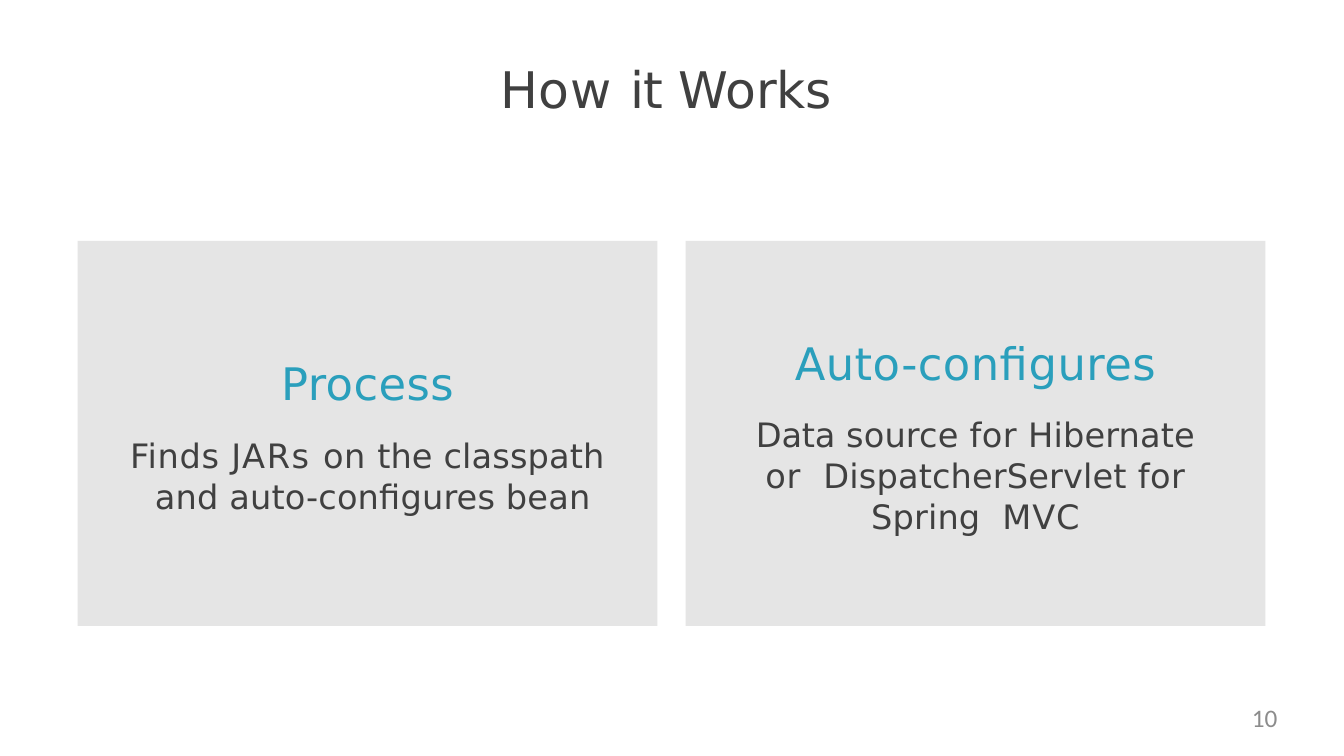
from pptx import Presentation
from pptx.dml.color import RGBColor
from pptx.enum import shapes, text
from pptx.util import Inches, Pt

GREY = RGBColor(0xE5, 0xE5, 0xE5)
TEAL = RGBColor(0x2A, 0x9F, 0xBC)
DARK = RGBColor(0x40, 0x40, 0x40)
PALE = RGBColor(0x8C, 0x8C, 0x8C)
FONT = "DejaVu Sans"
LEFT, MID, RIGHT = (text.PP_ALIGN.LEFT, text.PP_ALIGN.CENTER,
                    text.PP_ALIGN.RIGHT)

# Heading, side indent of the body, body runs
CARDS = [
    ("Process", 0.47, [
        ("Finds ", 0.5), ("JARs ", 1.1), ("on ", 0.4),
        ("the classpath  and auto-configures bean", 0.1)]),
    ("Auto-configures", 0.52, [
        ("Data ", -0.1), ("source ", 0.1), ("for ", 0.3),
        ("Hibernate ", 0.1), ("or  ", 0.4), ("DispatcherServlet ", 0.1),
        ("for ", 0.3), ("Spring  ", 0.1), ("MVC", 0.7)]),
]


def set_frame(shape, anchor):
    frame = shape.text_frame
    frame.word_wrap = True
    frame.auto_size = text.MSO_AUTO_SIZE.NONE
    frame.vertical_anchor = anchor
    frame.margin_left = frame.margin_right = 0
    frame.margin_top = frame.margin_bottom = 0
    return frame


def add_runs(para, runs, size, color, align, font=FONT):
    """Fill a paragraph from (words, letter spacing in points) pairs."""
    para.alignment = align
    for words, gap in runs:
        run = para.add_run()
        run.text = words
        run.font.name = font
        run.font.size = Pt(size)
        run.font.color.rgb = color
        run._r.get_or_add_rPr().set("spc", str(round(gap * 100)))


def add_title(slide, x, y, w, h):
    title = slide.shapes.title
    title.left, title.top, title.width, title.height = map(
        Inches, (x, y, w, h))
    frame = set_frame(title, text.MSO_ANCHOR.MIDDLE)
    runs = [("How ", 0.7), ("it ", -0.3), ("Works", -0.1)]
    add_runs(frame.paragraphs[0], runs, 36, DARK, LEFT)


def add_card(slide, x, y, w, h, head, inset, runs):
    card = slide.shapes.add_shape(
        shapes.MSO_SHAPE.RECTANGLE, *map(Inches, (x, y, w, h)))
    card.shadow.inherit = False
    card.fill.solid()
    card.fill.fore_color.rgb = GREY
    card.line.fill.background()
    frame = set_frame(card, text.MSO_ANCHOR.MIDDLE)
    frame.margin_top = Inches(0.05)
    add_runs(frame.paragraphs[0], [(head, 0.3)], 32, TEAL, MID)
    body = frame.add_paragraph()
    body.space_before = Pt(17.4)
    body.line_spacing = 1.01
    for side in ("marL", "marR"):
        body._p.get_or_add_pPr().set(side, str(Inches(inset)))
    add_runs(body, runs, 24, DARK, MID)


def add_cards(slide, x, y, w, h, gap=0.28):
    wide = (w - gap * (len(CARDS) - 1)) / len(CARDS)
    for i, card in enumerate(CARDS):
        add_card(slide, x + i * (wide + gap), y, wide, h, *card)


def add_number(slide, x, y, w, h):
    box = slide.shapes.add_textbox(*map(Inches, (x, y, w, h)))
    frame = set_frame(box, text.MSO_ANCHOR.TOP)
    add_runs(frame.paragraphs[0], [("10", 0)], 18, PALE, RIGHT, "Calibri")


def main():
    deck = Presentation()
    deck.slide_width, deck.slide_height = Inches(13.33), Inches(7.5)
    slide = deck.slides.add_slide(deck.slide_layouts[5])
    add_title(slide, 4.96, 0.56, 3.32, 0.63)
    add_cards(slide, 0.77, 2.39, 11.78, 3.82)
    add_number(slide, 9.6, 6.97, 3.07, 0.38)
    deck.save("out.pptx")


if __name__ == "__main__":
    main()
